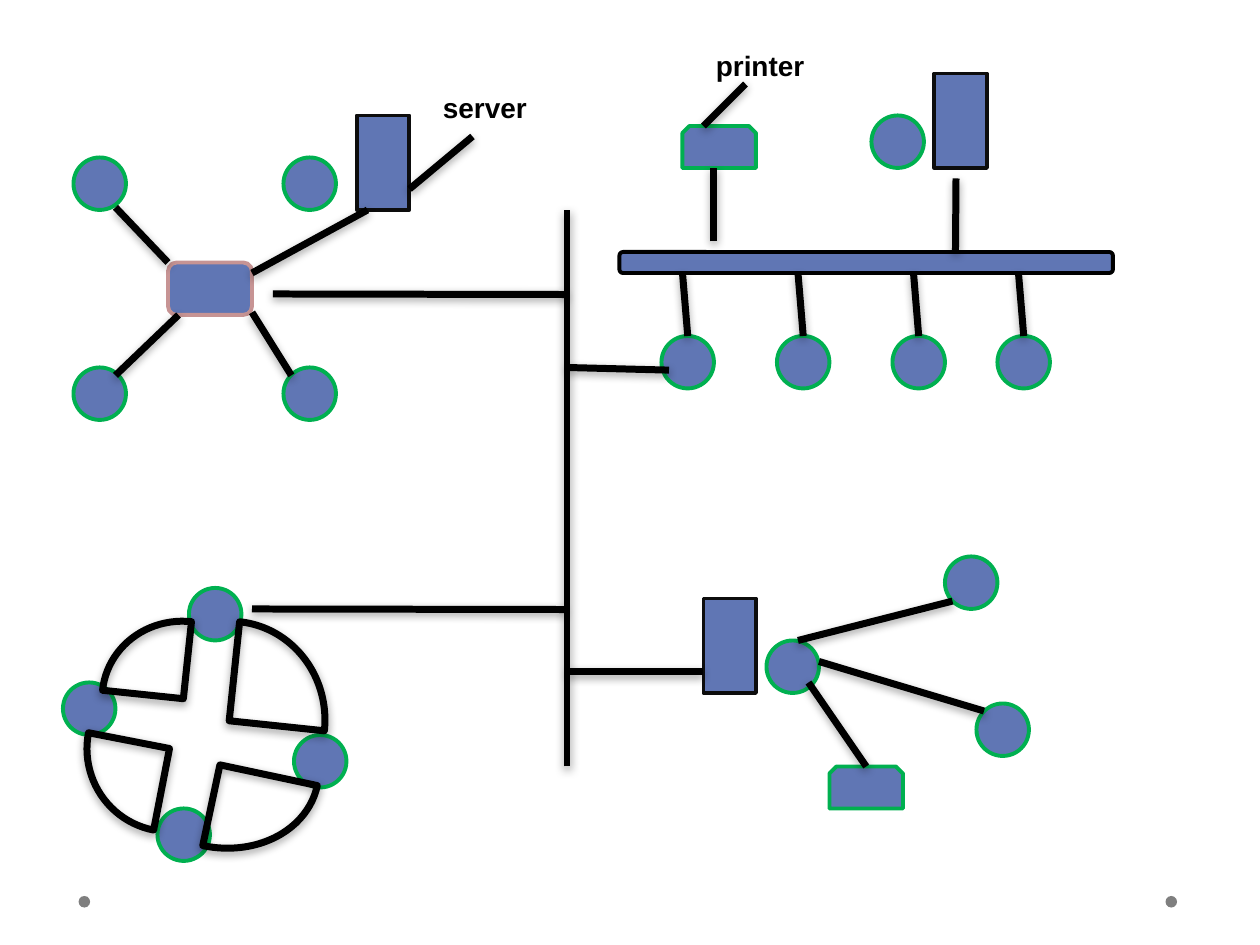
from lxml.etree import SubElement
from pptx import Presentation
from pptx.dml.color import RGBColor
from pptx.enum.shapes import MSO_CONNECTOR, MSO_SHAPE as Kind
from pptx.enum.text import MSO_AUTO_SIZE
from pptx.oxml.ns import qn
from pptx.util import Pt

color = RGBColor.from_string
BLACK, BLUE, GREEN, GRAY = "000000", "6076B4", "00B050", "7F7F7F"

deck = Presentation()
deck.slide_width, deck.slide_height = Pt(720), Pt(540)
page = deck.slides.add_slide(deck.slide_layouts[6])


def add_part(kind, left, top, width, height, outline, fill=BLUE, weight=2.25):
    part = page.shapes.add_shape(kind, Pt(left), Pt(top), Pt(width), Pt(height))
    part.shadow.inherit = False
    if fill:
        part.fill.solid()
        part.fill.fore_color.rgb = color(fill)
    else:
        part.fill.background()
    if outline:
        part.line.color.rgb = color(outline)
        part.line.width = Pt(weight)
    else:
        part.line.fill.background()
    return part


def add_shadow(part):
    properties = part._element.spPr
    effects = properties.find(qn("a:effectLst"))
    if effects is None:
        effects = SubElement(properties, qn("a:effectLst"))
    shadow = SubElement(effects, qn("a:outerShdw"), blurRad=str(Pt(5)),
                        dist=str(Pt(1.8)), dir="5400000", rotWithShape="0")
    tint = SubElement(shadow, qn("a:srgbClr"), val=BLACK)
    SubElement(tint, qn("a:alpha"), val="35000")


for left in (666, 44.9):
    add_part(Kind.OVAL, left, 512, 6.6, 6.6, None, GRAY)

star_nodes = [(42, 90), (162, 90), (42, 210), (162, 210)]
bus_nodes = [(378, 192), (444, 192), (510, 192), (570, 192), (498, 66)]
ring_nodes = [(108, 336), (168, 420), (90, 462), (36, 390)]
tree_nodes = [(438, 366), (540, 318), (558, 402)]
for left, top in star_nodes + bus_nodes + ring_nodes + tree_nodes:
    add_part(Kind.OVAL, left, top, 30, 30, GREEN)

for left, top in [(534, 42), (204, 66), (402, 342)]:
    add_part(Kind.RECTANGLE, left, top, 30, 54, "0D0D0D")

for left, top in [(390, 72), (474, 438)]:
    add_part(Kind.SNIP_2_SAME_RECTANGLE, left, top, 42, 24, GREEN)

add_part(Kind.ROUNDED_RECTANGLE, 96, 150, 48, 30, "C79494")
add_part(Kind.ROUNDED_RECTANGLE, 354, 144, 282, 12, BLACK)

ring_quarters = [
    (76.3, 355, 109.4, 113.8, 6),
    (60.5, 352.8, 88.6, 92.9, 276),
    (49.7, 380.2, 94.3, 95, 191),
    (78.5, 380.2, 94.3, 113.8, 102),
]
for left, top, width, height, angle in ring_quarters:
    quarter = add_part(Kind.PIE, left, top, width, height, BLACK, None, 4)
    quarter.adjustments[0] = 162
    quarter.adjustments[1] = 0
    quarter.rotation = angle
    add_shadow(quarter)

backbone = [(324, 438, 324, 120)]
star_links = [
    (102, 180, 66, 214.5), (210, 120, 144, 156),
    (166.5, 214.5, 144, 178.5), (96, 150, 66, 118.5),
]
trunk_links = [
    (324, 168.3, 156, 168), (322.8, 348.3, 144, 348),
    (382.3, 211.5, 324, 210), (402, 384, 324, 384),
]
bus_drops = [(left + 15, 192, left + 12, 156) for left, top in bus_nodes[:4]]
bus_risers = [(546, 144, 546.3, 102), (408, 138, 408, 96)]
tree_links = [
    (495, 438, 462, 390), (562.3, 406.3, 468, 378),
    (544.3, 343.5, 456, 366),
]
label_pointers = [(270, 78, 234, 108), (426, 48, 402, 72)]
links = (backbone + star_links + trunk_links + bus_drops + bus_risers
         + tree_links + label_pointers)
for ends in links:
    link = page.shapes.add_connector(MSO_CONNECTOR.STRAIGHT, *map(Pt, ends))
    link.line.color.rgb = color(BLACK)
    link.line.width = Pt(4)
    add_shadow(link)

for label, left, top, width in [("server", 246, 48, 63), ("printer", 402, 24, 66)]:
    box = page.shapes.add_textbox(Pt(left), Pt(top), Pt(width), Pt(27))
    frame = box.text_frame
    frame.word_wrap = False
    frame.auto_size = MSO_AUTO_SIZE.SHAPE_TO_FIT_TEXT
    span = frame.paragraphs[0].add_run()
    span.text = label
    span.font.name = "Arial"
    span.font.size = Pt(16)
    span.font.bold = True
    span.font.color.rgb = color(BLACK)

deck.save("out.pptx")
